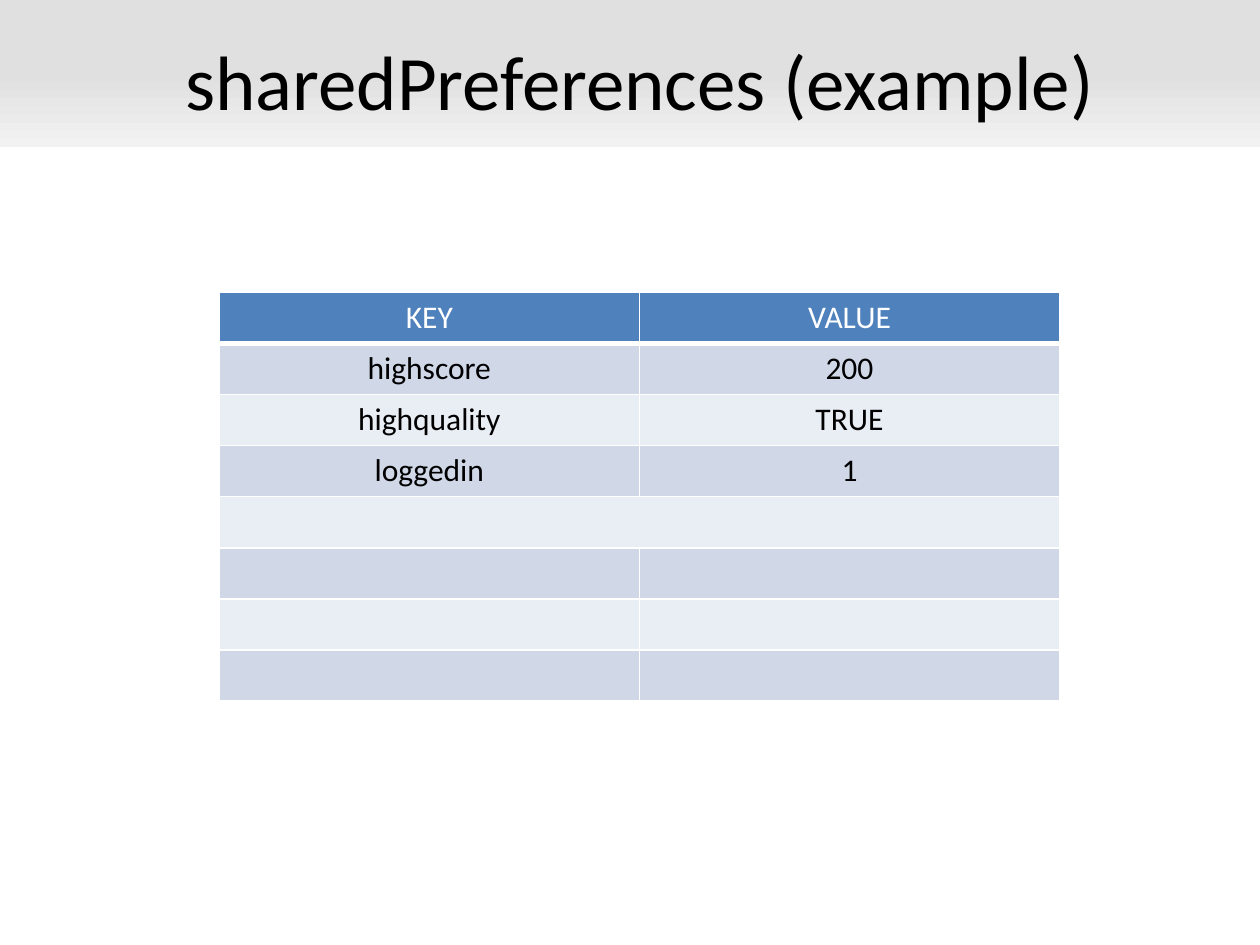
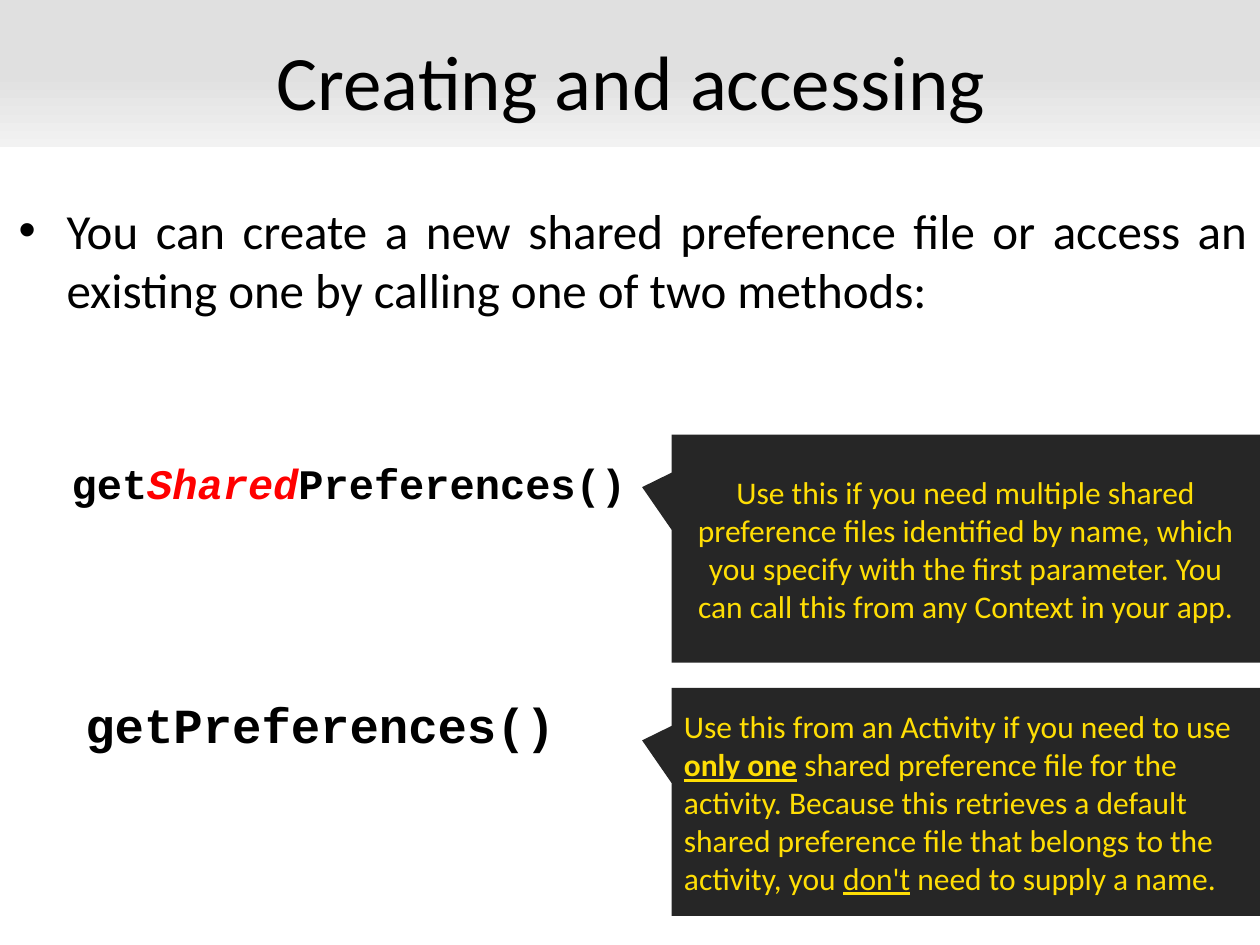
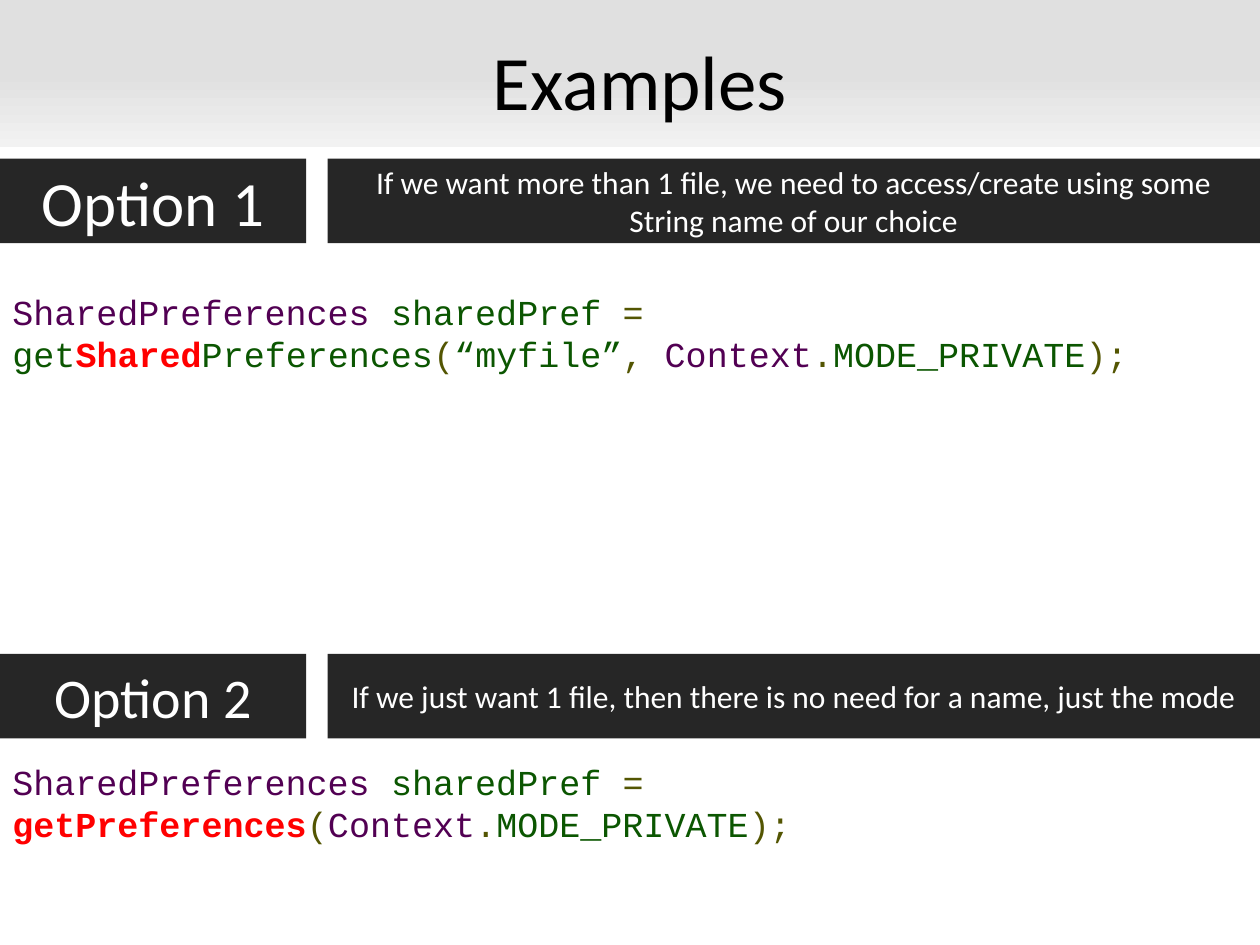
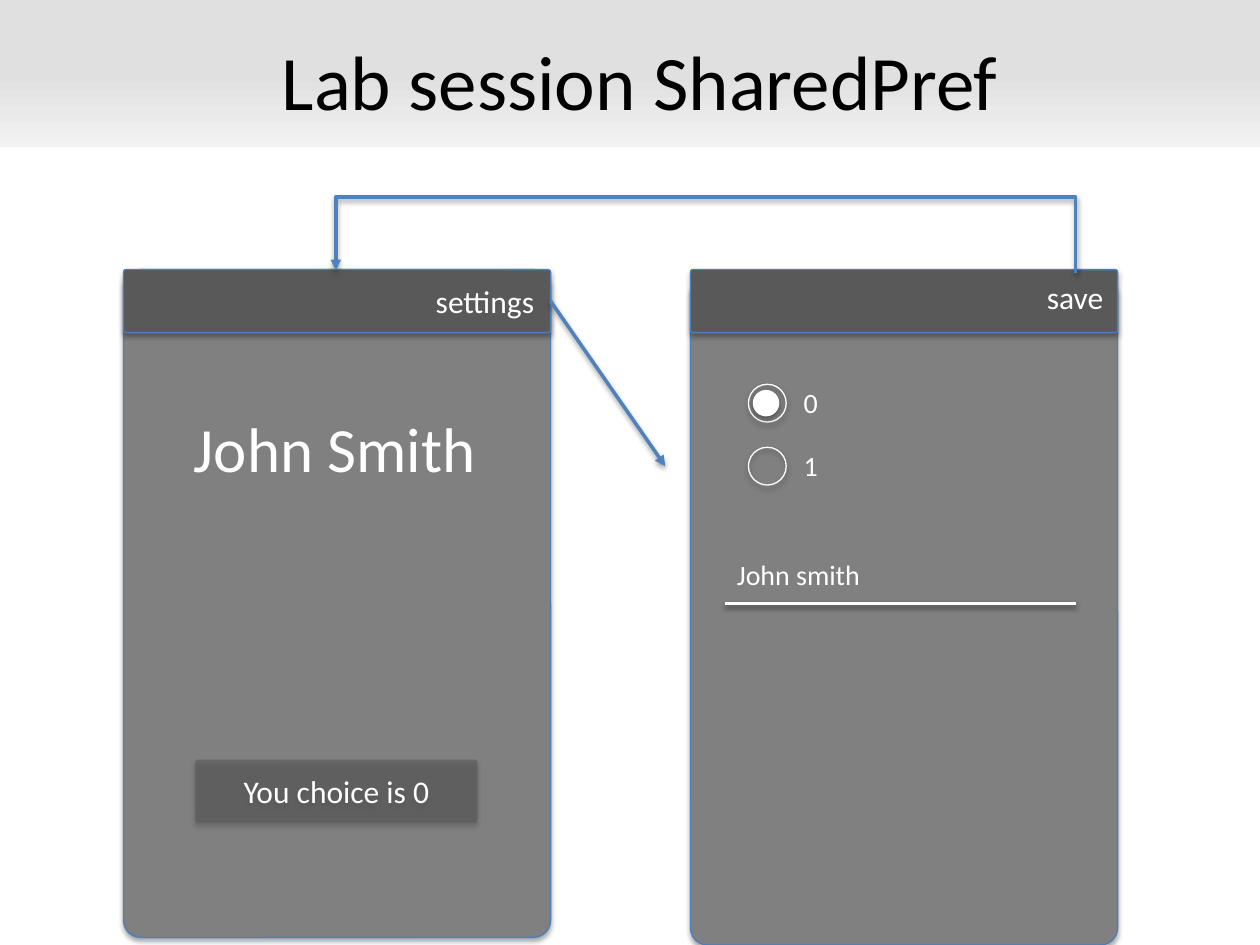
from lxml.etree import Element, SubElement
from pptx import Presentation
from pptx.dml.color import RGBColor
from pptx.enum.shapes import MSO_CONNECTOR, MSO_SHAPE
from pptx.enum.text import MSO_ANCHOR, MSO_AUTO_SIZE, PP_ALIGN
from pptx.oxml.ns import qn
from pptx.util import Inches, Pt

# Shared colours and fonts
BLACK = RGBColor(0x00, 0x00, 0x00)
WHITE = RGBColor(0xFF, 0xFF, 0xFF)
RED = RGBColor(0xFF, 0x00, 0x00)
YELLOW = RGBColor(0xFF, 0xDE, 0x05)
CHARCOAL = RGBColor(0x26, 0x26, 0x26)
BAND_GREY = RGBColor(0xE0, 0xE0, 0xE0)
BAND_LIGHT = RGBColor(0xF2, 0xF2, 0xF2)
BLUE = RGBColor(0x4F, 0x81, 0xBD)
OUTLINE_BLUE = RGBColor(0x4B, 0x7E, 0xBC)
ROW_DARK = RGBColor(0xD0, 0xD8, 0xE8)
ROW_LIGHT = RGBColor(0xE9, 0xED, 0xF4)
SCREEN_GREY = RGBColor(0x80, 0x80, 0x80)
BAR_GREY = RGBColor(0x59, 0x59, 0x59)
CODE_TYPE = RGBColor(0x52, 0x00, 0x53)
CODE_NAME = RGBColor(0x0B, 0x56, 0x01)
CODE_SIGN = RGBColor(0x53, 0x55, 0x02)

BODY_FONT = "Calibri"
CODE_FONT = "Courier New"
SHAPE_SHADOW_DISTANCE = 1.8
LINE_SHADOW_DISTANCE = 1.6


# Text
def add_runs(paragraph, runs, size, color, font=BODY_FONT):
    """Add runs given as plain text or as (text, font settings)."""
    for item in [runs] if isinstance(runs, str) else runs:
        text, settings = (item, {}) if isinstance(item, str) else item
        run = paragraph.add_run()
        run.text = text
        run.font.name = font
        run.font.size = Pt(size)
        run.font.color.rgb = settings.get("color", color)
        run.font.bold = settings.get("bold", False)
        run.font.italic = settings.get("italic", False)
        run.font.underline = settings.get("underline", False)


def add_text(slide, box, paragraphs, size, color=BLACK, font=BODY_FONT,
             align=PP_ALIGN.LEFT, anchor=MSO_ANCHOR.TOP, wrap=True, grow=True):
    shape = slide.shapes.add_textbox(*map(Inches, box))
    frame = shape.text_frame
    frame.word_wrap = wrap
    frame.vertical_anchor = anchor
    frame.auto_size = MSO_AUTO_SIZE.SHAPE_TO_FIT_TEXT if grow else MSO_AUTO_SIZE.NONE
    for index, runs in enumerate(paragraphs):
        paragraph = frame.paragraphs[0] if index == 0 else frame.add_paragraph()
        paragraph.alignment = align
        add_runs(paragraph, runs, size, color, font)
    return shape


def add_label(slide, box, text, size):
    add_text(slide, box, [text], size, WHITE, wrap=False)


def set_bullet(paragraph, indent):
    properties = paragraph._p.get_or_add_pPr()
    properties.set("marL", str(Inches(indent)))
    properties.set("indent", str(-Inches(indent)))
    SubElement(properties, qn("a:buFont"), typeface="Arial")
    SubElement(properties, qn("a:buChar"), char="•")


# Shapes and lines
def add_alpha(parent, percent):
    SubElement(parent, qn("a:alpha"), val=str(percent * 1000))


def add_shadow(element, opacity, distance):
    effects = SubElement(element.spPr, qn("a:effectLst"))
    shadow = SubElement(effects, qn("a:outerShdw"), blurRad=str(Pt(3.1)),
                        dist=str(Pt(distance)), dir="5400000", rotWithShape="0")
    add_alpha(SubElement(shadow, qn("a:srgbClr"), val=str(BLACK)), opacity)


def add_box(slide, kind, box, fill=None, line=None, shadow=False):
    shape = slide.shapes.add_shape(kind, *map(Inches, box))
    if fill is None:
        shape.fill.background()
    else:
        shape.fill.solid()
        shape.fill.fore_color.rgb = fill
    if line is None:
        shape.line.fill.background()
    else:
        shape.line.color.rgb = line
        shape.line.width = Pt(0.75)
    if shadow:
        add_shadow(shape._element, 35, SHAPE_SHADOW_DISTANCE)
    else:
        shape.shadow.inherit = False
    return shape


def fill_with_text(shape, runs, size, color=WHITE, align=PP_ALIGN.CENTER):
    frame = shape.text_frame
    frame.word_wrap = True
    frame.vertical_anchor = MSO_ANCHOR.MIDDLE
    frame.paragraphs[0].alignment = align
    add_runs(frame.paragraphs[0], runs, size, color)


def add_panel(slide, box, fill, line=OUTLINE_BLUE):
    panel = add_box(slide, MSO_SHAPE.ROUNDED_RECTANGLE, box, fill, line, shadow=True)
    panel.adjustments[0] = 0.04
    return panel


def add_line(slide, kind, start, end, color, arrow=False):
    line = slide.shapes.add_connector(kind, *map(Inches, start + end))
    line.line.color.rgb = color
    line.line.width = Pt(2)
    if arrow:
        SubElement(line.line._get_or_add_ln(), qn("a:tailEnd"), type="triangle")
    add_shadow(line._element, 38, LINE_SHADOW_DISTANCE)
    return line


def route_over_top(connector, box, bend):
    """Turn an elbow connector so that its middle part runs above both ends."""
    connector.left, connector.top, connector.width, connector.height = map(Inches, box)
    frame = connector._element.spPr.find(qn("a:xfrm"))
    frame.attrib.pop("flipH", None)
    frame.set("rot", str(270 * 60000))
    frame.set("flipV", "1")
    guides = connector._element.spPr.find(qn("a:prstGeom")).find(qn("a:avLst"))
    SubElement(guides, qn("a:gd"), name="adj1", fmla=f"val {bend * 100000}")


# Slide frame: gradient band and title
def add_titled_slide(presentation, title):
    slide = presentation.slides.add_slide(presentation.slide_layouts[6])
    band = add_box(slide, MSO_SHAPE.RECTANGLE, (0, 0, 10, 1.17))
    band.fill.gradient()
    band.fill.gradient_angle = 270
    stops = band.fill._fill._gradFill.find(qn("a:gsLst"))
    for stop in list(stops):
        stops.remove(stop)
    for position, color in ((0, BAND_GREY), (50, BAND_GREY), (100, BAND_LIGHT)):
        stop = SubElement(stops, qn("a:gs"), pos=str(position * 1000))
        SubElement(stop, qn("a:srgbClr"), val=str(color))
    add_text(slide, (0.58, 0.01, 9, 1.25), [title], 44, align=PP_ALIGN.CENTER,
             anchor=MSO_ANCHOR.MIDDLE, grow=False)
    return slide


# Table
def set_cell_borders(cell, is_header):
    widths = {"lnL": 1, "lnR": 1}
    if is_header:
        widths["lnT"] = 1
    widths["lnB"] = 3 if is_header else 1
    properties = cell._tc.get_or_add_tcPr()
    for position, (side, width) in enumerate(widths.items()):
        border = Element(qn(f"a:{side}"), w=str(Pt(width)))
        fill = SubElement(border, qn("a:solidFill"))
        SubElement(fill, qn("a:srgbClr"), val=str(WHITE))
        properties.insert(position, border)


def add_key_value_table(slide, entries, row_count, merged_row):
    table = slide.shapes.add_table(row_count, 2, Inches(1.74), Inches(2.32),
                                   Inches(6.67), Inches(0.4 * row_count)).table
    for row in range(row_count):
        is_header = row == 0
        for column in range(2):
            cell = table.cell(row, column)
            cell.fill.solid()
            cell.fill.fore_color.rgb = (
                BLUE if is_header else ROW_DARK if row % 2 else ROW_LIGHT)
            set_cell_borders(cell, is_header)
            if row < len(entries):
                paragraph = cell.text_frame.paragraphs[0]
                paragraph.alignment = PP_ALIGN.CENTER
                add_runs(paragraph, entries[row][column], 18,
                         WHITE if is_header else BLACK)
    table.cell(merged_row, 0).merge(table.cell(merged_row, 1))


# Slides
def build_table_slide(presentation):
    slide = add_titled_slide(presentation, "sharedPreferences (example)")
    entries = [("KEY", "VALUE"), ("highscore", "200"),
               ("highquality", "TRUE"), ("loggedin", "1")]
    add_key_value_table(slide, entries, row_count=8, merged_row=4)


def build_methods_slide(presentation):
    slide = add_titled_slide(presentation, "Creating and accessing ")
    body = add_text(slide, (0.05, 1.54, 9.95, 4.95), [
        "You can create a new shared preference file or access an existing one "
        "by calling one of two methods:"], 28, align=PP_ALIGN.JUSTIFY, grow=False)
    set_bullet(body.text_frame.paragraphs[0], 0.38)

    bold = {"bold": True}
    add_text(slide, (0.47, 3.58, 5, 0.5), [[
        ("get", bold),
        ("Shared", {"bold": True, "italic": True, "color": RED}),
        ("Preferences()", bold)]], 24, font=CODE_FONT)
    add_text(slide, (0.58, 5.46, 5, 0.57), [[("getPreferences()", bold)]], 28,
             font=CODE_FONT)

    callouts = [
        (3.45, PP_ALIGN.CENTER, [
            "Use this if you need multiple shared preference files identified by "
            "name, which you specify with the first parameter. You can call this "
            "from any Context in your app."]),
        (5.46, PP_ALIGN.LEFT, [
            "Use this from an Activity if you need to use ",
            ("only one", {"bold": True, "underline": True}),
            " shared preference file for the activity. Because this retrieves a "
            "default shared preference file that belongs to the activity, you ",
            ("don't", {"underline": True}),
            " need to supply a name."]),
    ]
    for top, align, runs in callouts:
        callout = add_box(slide, MSO_SHAPE.RECTANGULAR_CALLOUT,
                          (5.33, top, 4.67, 1.81), CHARCOAL)
        callout.adjustments[0] = -0.55
        callout.adjustments[1] = -0.27
        fill_with_text(callout, runs, 18, YELLOW, align)


def build_examples_slide(presentation):
    slide = add_titled_slide(presentation, "Examples")
    kind, name, sign = ({"color": color} for color in (CODE_TYPE, CODE_NAME, CODE_SIGN))
    strong = {"color": RED, "bold": True}
    declaration = [("SharedPreferences ", kind), ("sharedPref ", name)]
    mode = [("Context", kind), (".", sign), ("MODE_PRIVATE", name), (");", sign)]
    options = [
        (1.26, "Option 1", 36,
         "If we want more than 1 file, we need to access/create using some "
         "String name of our choice",
         2.26, [declaration + [("=", sign)],
                [("get", name), ("Shared", strong), ("Preferences", name),
                 ("(", sign), ("“myfile”", name), (", ", sign)] + mode]),
        (5.19, "Option 2", 32,
         "If we just want 1 file, then there is no need for a name, just the mode",
         5.99, [declaration + [("= ", sign), ("getPreferences", strong),
                               ("(", sign)] + mode]),
    ]
    for top, heading, size, reason, code_top, code in options:
        fill_with_text(add_box(slide, MSO_SHAPE.RECTANGLE, (0, top, 2.43, 0.67),
                               CHARCOAL), heading, size)
        fill_with_text(add_box(slide, MSO_SHAPE.RECTANGLE, (2.6, top, 7.4, 0.67),
                               CHARCOAL), reason, 18)
        add_text(slide, (0, code_top, 10, 0.77), code, 20, font=CODE_FONT)


def build_lab_slide(presentation):
    slide = add_titled_slide(presentation, "Lab session SharedPref")

    # Two phone screens with their top bars
    for left, top in ((0.98, 2.14), (5.48, 2.2)):
        add_panel(slide, (left, top, 3.39, 5.3), SCREEN_GREY)
    settings_bar, _ = [add_panel(slide, (left, 2.14, 3.39, 0.5), BAR_GREY)
                       for left in (0.98, 5.48)]
    add_label(slide, (3.36, 2.19, 1, 0.4), "settings", 18)
    add_label(slide, (8.21, 2.16, 0.65, 0.4), "save", 18)

    # Main screen
    add_label(slide, (1.44, 3.2, 2.46, 0.71), "John Smith", 36)
    message = add_panel(slide, (1.55, 6.03, 2.24, 0.5), BAR_GREY, line=None)
    add_alpha(message._element.spPr.find(qn("a:solidFill"))[0], 54)
    fill_with_text(message, "You choice is 0", 18)

    # Settings screen: radio buttons and name field
    for index, choice in enumerate("01"):
        top = 3.05 + 0.5 * index
        add_box(slide, MSO_SHAPE.OVAL, (5.94, top, 0.3, 0.3), line=WHITE, shadow=True)
        add_label(slide, (6.28, top - 0.04, 0.32, 0.37), choice, 16)
    add_box(slide, MSO_SHAPE.OVAL, (5.98, 3.1, 0.2, 0.2), WHITE, WHITE, shadow=True)
    add_line(slide, MSO_CONNECTOR.STRAIGHT, (5.75, 4.79), (8.54, 4.79), WHITE)
    add_label(slide, (5.75, 4.38, 1.19, 0.37), "John smith", 16)

    # Navigation arrows
    to_settings = add_line(slide, MSO_CONNECTOR.STRAIGHT, (4.37, 2.39), (5.28, 3.7),
                           BLUE, arrow=True)
    to_settings.begin_connect(settings_bar, 3)
    to_main = add_line(slide, MSO_CONNECTOR.ELBOW, (8.54, 2.16), (2.67, 2.14),
                       BLUE, arrow=True)
    route_over_top(to_main, (5.59, -0.78, 0.02, 5.87), bend=30)


def main():
    presentation = Presentation()
    presentation.slide_width = Inches(10)
    presentation.slide_height = Inches(7.5)
    build_table_slide(presentation)
    build_methods_slide(presentation)
    build_examples_slide(presentation)
    build_lab_slide(presentation)
    presentation.save("out.pptx")


if __name__ == "__main__":
    main()
